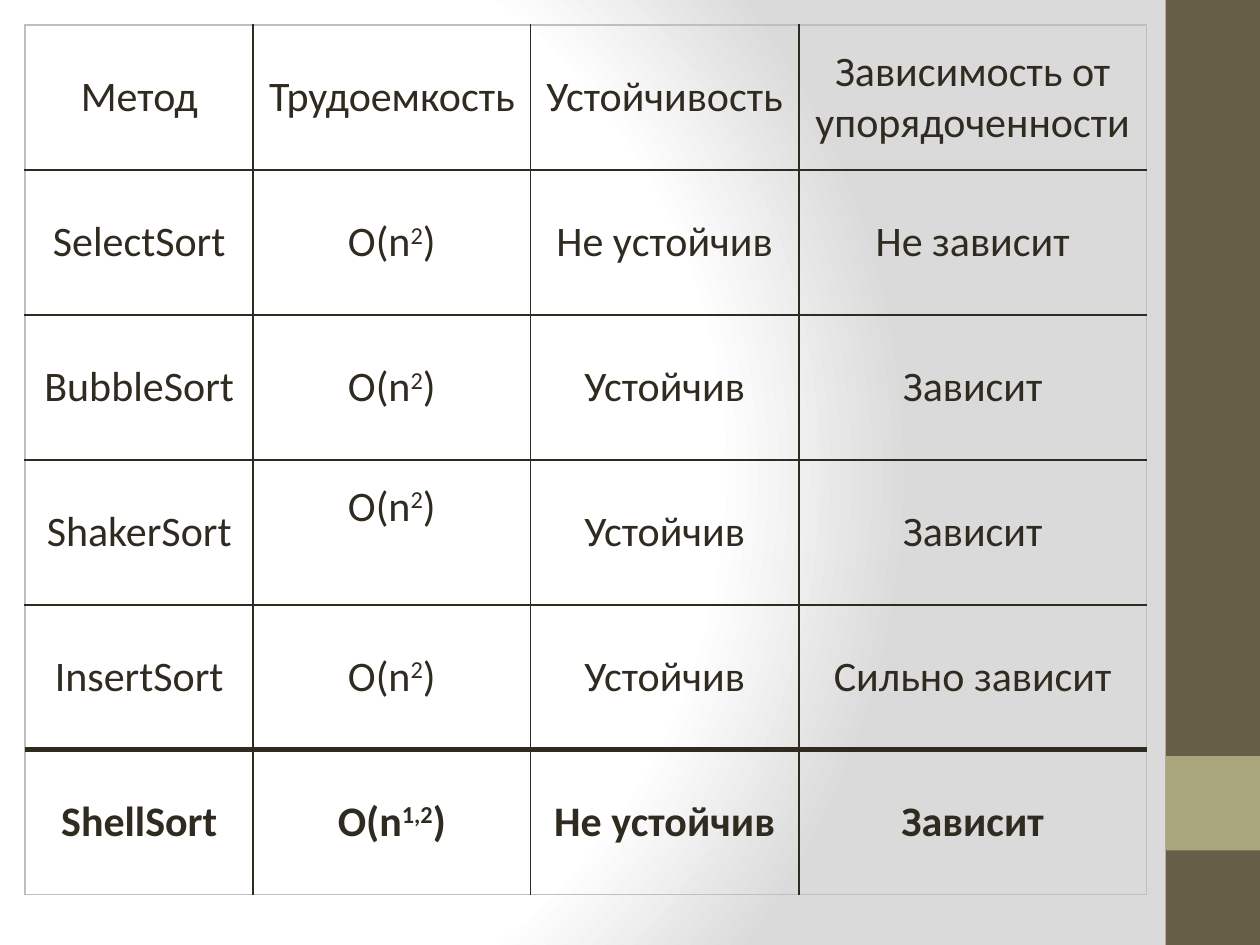
from dataclasses import dataclass

from lxml import etree
from pptx import Presentation
from pptx.dml.color import RGBColor as RGB
from pptx.enum.shapes import MSO_CONNECTOR as Conn, MSO_SHAPE as Shape
from pptx.enum.text import MSO_ANCHOR as Anchor, PP_ALIGN as Align
from pptx.oxml import parse_xml
from pptx.oxml.ns import nsdecls, qn
from pptx.util import Inches, Pt


@dataclass(frozen=True)
class Theme:
    ink: str = "2F2B20"
    edge: str = "BFBFBF"
    band: str = "675E47"
    accent: str = "A9A57C"
    light: str = "FFFFFF"
    shade: str = "DADADA"
    font: str = "Calibri"
    size: int = 24
    rule: int = 1
    thick: int = 3


THEME = Theme()
LEFT, TOP, WIDTH = 0.2, 0.2, 8.9
COLS = (1.81, 2.2, 2.13, 2.76)
ROW = 1.15

# A caret sets off a superscript: base^power^rest
SQUARE = "O(n^2^)"
SORTS = (
    ("Метод", "Трудоемкость", "Устойчивость", "Зависимость от упорядоченности"),
    ("SelectSort", SQUARE, "Не устойчив", "Не зависит"),
    ("BubbleSort", SQUARE, "Устойчив", "Зависит"),
    ("ShakerSort", SQUARE, "Устойчив", "Зависит"),
    ("InsertSort", SQUARE, "Устойчив", "Сильно зависит"),
)
SHELL = (("ShellSort", "O(n^1,2^)", "Не устойчив", "Зависит"),)


def paint_back(slide):
    slide.background.fill.solid()
    props = slide.element.find(".//" + qn("p:bgPr"))
    stops = ((0, THEME.light), (75, THEME.light), (100, THEME.shade))
    marks = "".join(
        f'<a:gs pos="{pos * 1000}"><a:srgbClr val="{color}"/></a:gs>'
        for pos, color in stops)
    props.replace(props[0], parse_xml(
        f'<a:gradFill {nsdecls("a")} rotWithShape="1"><a:gsLst>{marks}</a:gsLst>'
        '<a:path path="circle"><a:fillToRect l="20000" t="50000" r="100000" b="50000"/>'
        '</a:path></a:gradFill>'))


def add_block(slide, x, y, w, h, color):
    block = slide.shapes.add_shape(
        Shape.RECTANGLE, Inches(x), Inches(y), Inches(w), Inches(h))
    block.shadow.inherit = False
    block.fill.solid()
    block.fill.fore_color.rgb = RGB.from_string(color)
    block.line.fill.background()


def add_side(slide, x, y, w, h):
    add_block(slide, x, y, w, h, THEME.band)
    add_block(slide, x, y + 0.8 * h, w, w, THEME.accent)


def set_border(cell, side, color):
    props = cell._tc.get_or_add_tcPr()
    line = etree.SubElement(props, qn(f"a:ln{side}"), w=str(Pt(THEME.rule)))
    fill = etree.SubElement(line, qn("a:solidFill"))
    etree.SubElement(fill, qn("a:srgbClr"), val=color)


def fill_cell(cell, text, bold):
    cell.vertical_anchor = Anchor.MIDDLE
    para = cell.text_frame.paragraphs[0]
    para.alignment = Align.CENTER
    font = para.font
    font.name, font.size, font.bold = THEME.font, Pt(THEME.size), bold
    font.color.rgb = RGB.from_string(THEME.ink)
    for i, part in enumerate(text.split("^")):
        run = para.add_run()
        run.text = part
        if i == 1:
            run._r.get_or_add_rPr().set("baseline", "30000")


def add_grid(slide, x, y, w, h, rows, bold=False):
    """Place a table with dark inner rules and a pale outer edge."""
    table = slide.shapes.add_table(
        len(rows), len(COLS), Inches(x), Inches(y), Inches(w), Inches(h)).table
    table.first_row = table.horz_banding = False
    for col, size in zip(table.columns, COLS):
        col.width = Inches(size)
    for row in table.rows:
        row.height = Inches(h / len(rows))
    for r, row in enumerate(rows):
        for c, text in enumerate(row):
            cell = table.cell(r, c)
            outer = {"L": c == 0, "R": c == len(COLS) - 1,
                     "T": r == 0, "B": r == len(rows) - 1}
            for side, edge in outer.items():
                set_border(cell, side, THEME.edge if edge else THEME.ink)
            cell.fill.background()
            fill_cell(cell, text, bold)
    return table


def add_rule(slide, x, y, w):
    rule = slide.shapes.add_connector(
        Conn.STRAIGHT, Inches(x), Inches(y), Inches(x + w), Inches(y))
    rule.line.color.rgb = RGB.from_string(THEME.ink)
    rule.line.width = Pt(THEME.thick)
    etree.SubElement(rule._element.spPr, qn("a:effectLst"))


def add_sorts(slide, x, y, w):
    split = y + ROW * len(SORTS)
    table = add_grid(slide, x, y, w, split - y, SORTS)
    # The ShakerSort cost sits above the middle of its cell
    table.cell(3, 1).margin_bottom = Inches(0.45)
    add_grid(slide, x, split, w, ROW, SHELL, bold=True)
    add_rule(slide, x, split, w)


def main():
    deck = Presentation()
    deck.slide_width, deck.slide_height = Inches(10), Inches(7.5)
    slide = deck.slides.add_slide(deck.slide_layouts[6])
    paint_back(slide)
    add_side(slide, 9.25, 0, 0.75, 7.5)
    add_sorts(slide, LEFT, TOP, WIDTH)
    deck.save("out.pptx")


if __name__ == "__main__":
    main()
